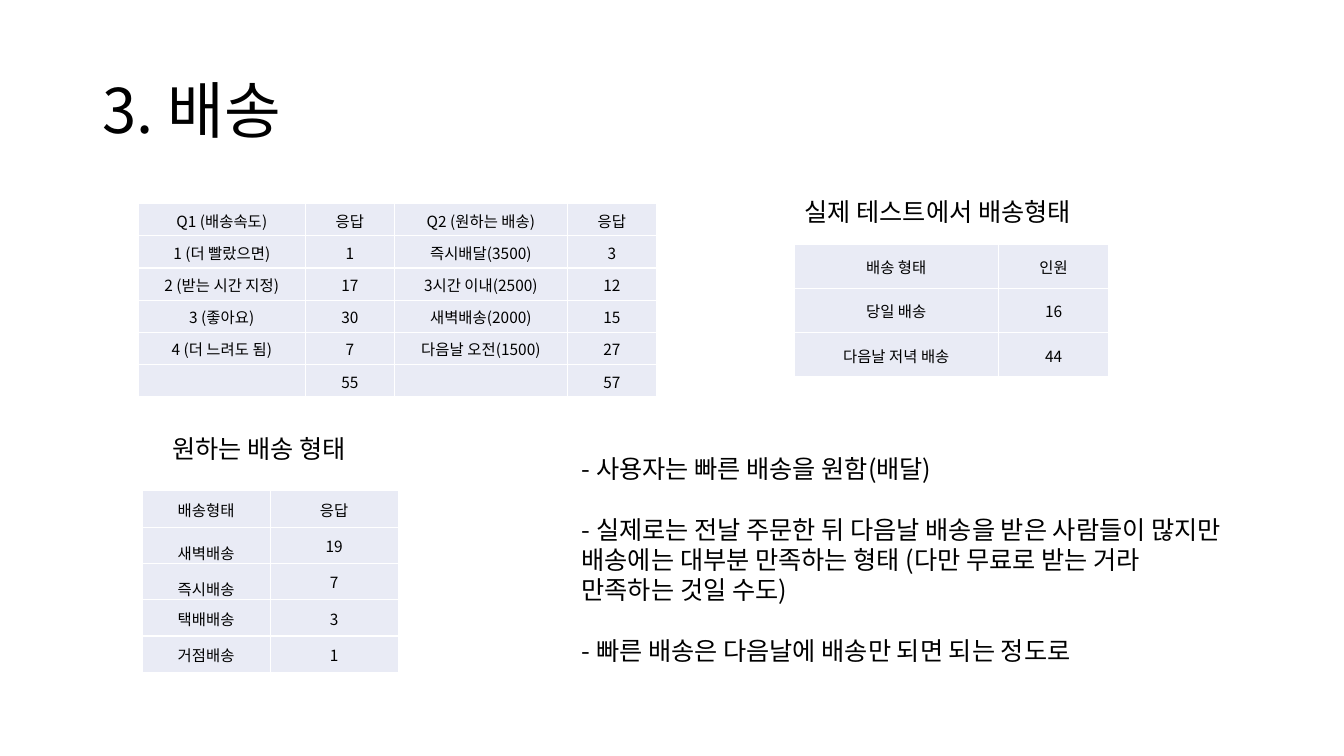
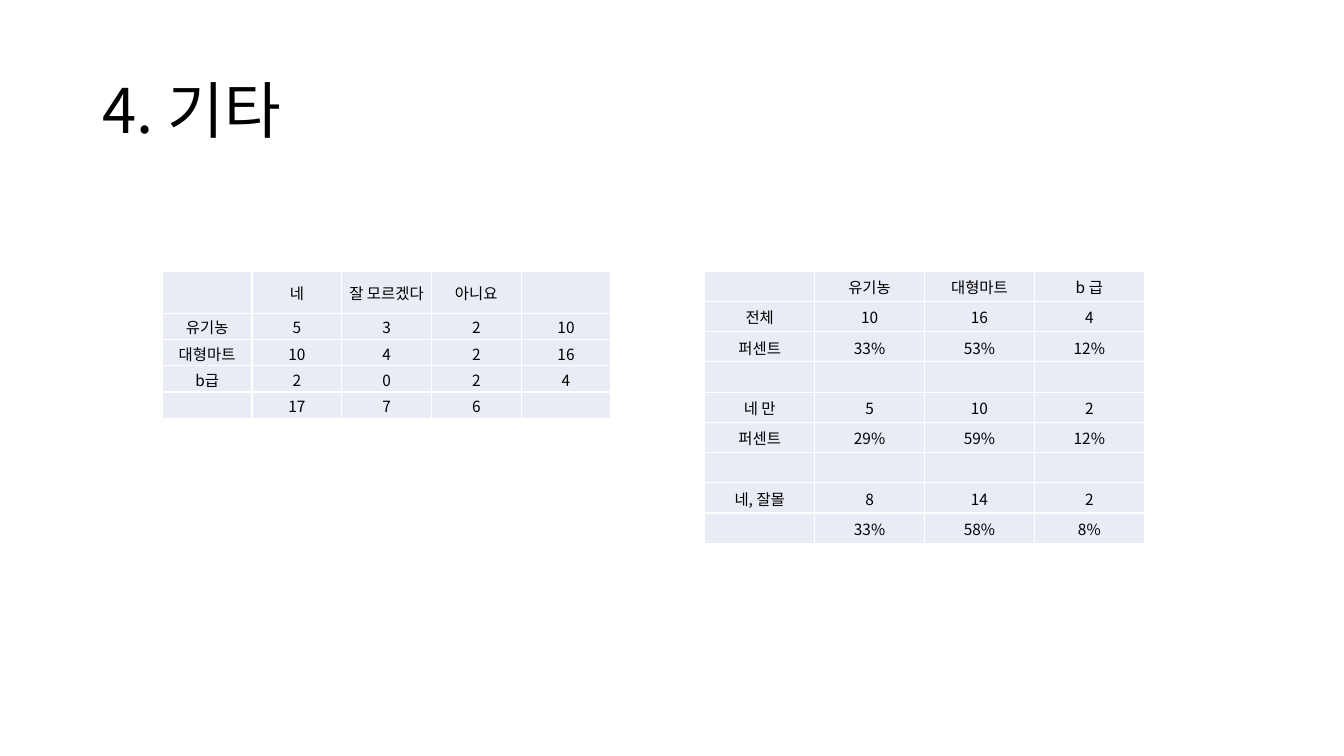
"""Build two survey slides on delivery and other answers."""
import pptx
import pptx.dml.color
import pptx.enum.text
import pptx.oxml
import pptx.oxml.ns
import pptx.util

Inches = pptx.util.Inches
Pt = pptx.util.Pt
ALIGN = pptx.enum.text.PP_ALIGN
ANCHOR = pptx.enum.text.MSO_ANCHOR
FONT = "Noto Sans CJK KR"
INK, CELL, RULE = "000000", "E9EBF5", "FFFFFF"

SPEED = [
    ("Q1 (배송속도)", "응답", "Q2 (원하는 배송)", "응답"),
    ("1 (더 빨랐으면)", "1", "즉시배달(3500)", "3"),
    ("2 (받는 시간 지정)", "17", "3시간 이내(2500)", "12"),
    ("3 (좋아요)", "30", "새벽배송(2000)", "15"),
    ("4 (더 느려도 됨)", "7", "다음날 오전(1500)", "27"),
    ("", "55", "", "57"),
]
ACTUAL = [("배송 형태", "인원"), ("당일 배송", "16"), ("다음날 저녁 배송", "44")]
WANTED = [("배송형태", "응답"), ("새벽배송", "19"), ("즉시배송", "7"),
          ("택배배송", "3"), ("거점배송", "1")]
NOTES = [
    "- 사용자는 빠른 배송을 원함(배달)",
    "- 실제로는 전날 주문한 뒤 다음날 배송을 받은 사람들이 많지만 배송에는 대부분 "
    "만족하는 형태 (다만 무료로 받는 거라 만족하는 것일 수도)",
    "- 빠른 배송은 다음날에 배송만 되면 되는 정도로",
]
OPINION = [
    ("", "네", "잘 모르겠다", "아니요", ""),
    ("유기농", "5", "3", "2", "10"),
    ("대형마트", "10", "4", "2", "16"),
    ("b급", "2", "0", "2", "4"),
    ("", "17", "7", "6", ""),
]
SHARE = [
    ("", "유기농", "대형마트", "b 급"),
    ("전체", "10", "16", "4"),
    ("퍼센트", "33%", "53%", "12%"),
    ("", "", "", ""),
    ("네 만", "5", "10", "2"),
    ("퍼센트", "29%", "59%", "12%"),
    ("", "", "", ""),
    ("네, 잘몰", "8", "14", "2"),
    ("", "33%", "58%", "8%"),
]


def paint(hue):
    """Turn a hex string into a colour."""
    return pptx.dml.color.RGBColor.from_string(hue)


def write(frame, *lines, size=18, align=ALIGN.LEFT, gap=0, space=None):
    """Fill a text frame with one paragraph per line."""
    for i, line in enumerate(lines):
        para = frame.add_paragraph() if i else frame.paragraphs[0]
        para.alignment = align
        para.line_spacing = space
        para.space_before = Pt(gap if i else 0)
        if not line:
            para._p.get_or_add_endParaRPr().set("sz", str(size * 100))
            continue
        run = para.add_run()
        run.text = line
        run.font.size = Pt(size)
        run.font.name = FONT
        run.font.color.rgb = paint(INK)
        east = pptx.oxml.ns.qn("a:ea")
        run.font._element.append(run.font._element.makeelement(east, {"typeface": FONT}))


def label(slide, box, *lines, anchor=ANCHOR.TOP, **style):
    """Place a wrapped text box."""
    frame = slide.shapes.add_textbox(*map(Inches, box)).text_frame
    frame.word_wrap = True
    frame.vertical_anchor = anchor
    write(frame, *lines, **style)


def edge(cell):
    """Draw white rules on all four sides of a cell."""
    space = pptx.oxml.ns.nsdecls("a")
    for i, side in enumerate("LRTB"):
        line = pptx.oxml.parse_xml(
            f'<a:ln{side} {space} w="12700"><a:solidFill><a:srgbClr val="{RULE}"/>'
            f'</a:solidFill></a:ln{side}>')
        cell._tc.get_or_add_tcPr().insert(i, line)


def grid(slide, spot, widths, heights, rows, low=()):
    """Place a table; cells listed in low sit at the bottom."""
    box = (*spot, sum(widths), sum(heights))
    table = slide.shapes.add_table(len(rows), len(widths), *map(Inches, box)).table
    table.first_row = table.horz_banding = False
    for col, width in zip(table.columns, widths):
        col.width = Inches(width)
    for r, (row, height) in enumerate(zip(rows, heights)):
        table.rows[r].height = Inches(height)
        for c, text in enumerate(row):
            cell = table.cell(r, c)
            cell.margin_left = cell.margin_right = cell.margin_top = Inches(0.01)
            cell.margin_bottom = 0
            cell.vertical_anchor = ANCHOR.BOTTOM if (r, c) in low else ANCHOR.MIDDLE
            cell.fill.solid()
            cell.fill.fore_color.rgb = paint(CELL)
            edge(cell)
            write(cell.text_frame, text, size=11, align=ALIGN.CENTER)


def start(deck, title):
    """Add a blank slide with its title."""
    slide = deck.slides.add_slide(deck.slide_layouts[6])
    label(slide, (0.92, 0.4, 11.5, 1.45), title, size=44, space=0.9,
          anchor=ANCHOR.MIDDLE)
    return slide


def ship(deck):
    """Build the delivery slide."""
    slide = start(deck, "3. 배송")
    grid(slide, (1.37, 2.02), (1.66, 0.88, 1.72, 0.88), [0.32] * 6, SPEED)
    label(slide, (7.88, 1.9, 3.49, 0.4), "실제 테스트에서 배송형태")
    grid(slide, (7.88, 2.42), (2.02, 1.1), [0.44] * 3, ACTUAL)
    label(slide, (1.61, 4.25, 2.13, 0.4), "원하는 배송 형태")
    grid(slide, (1.41, 4.87), [1.27] * 2, [0.36] * 5, WANTED, low=[(1, 0), (2, 0)])
    label(slide, (5.67, 4.45, 6.59, 2.22), *NOTES, gap=21.8)


def other(deck):
    """Build the slide of other answers."""
    slide = start(deck, "4. 기타")
    grid(slide, (1.61, 2.69), [0.89] * 5, [0.42] + [0.26] * 4, OPINION)
    grid(slide, (6.99, 2.69), [1.09] * 4, [0.3] * 9, SHARE)


def main():
    """Build and save the deck."""
    deck = pptx.Presentation()
    deck.slide_width, deck.slide_height = Inches(13.33), Inches(7.5)
    ship(deck)
    other(deck)
    deck.save("out.pptx")


if __name__ == "__main__":
    main()
